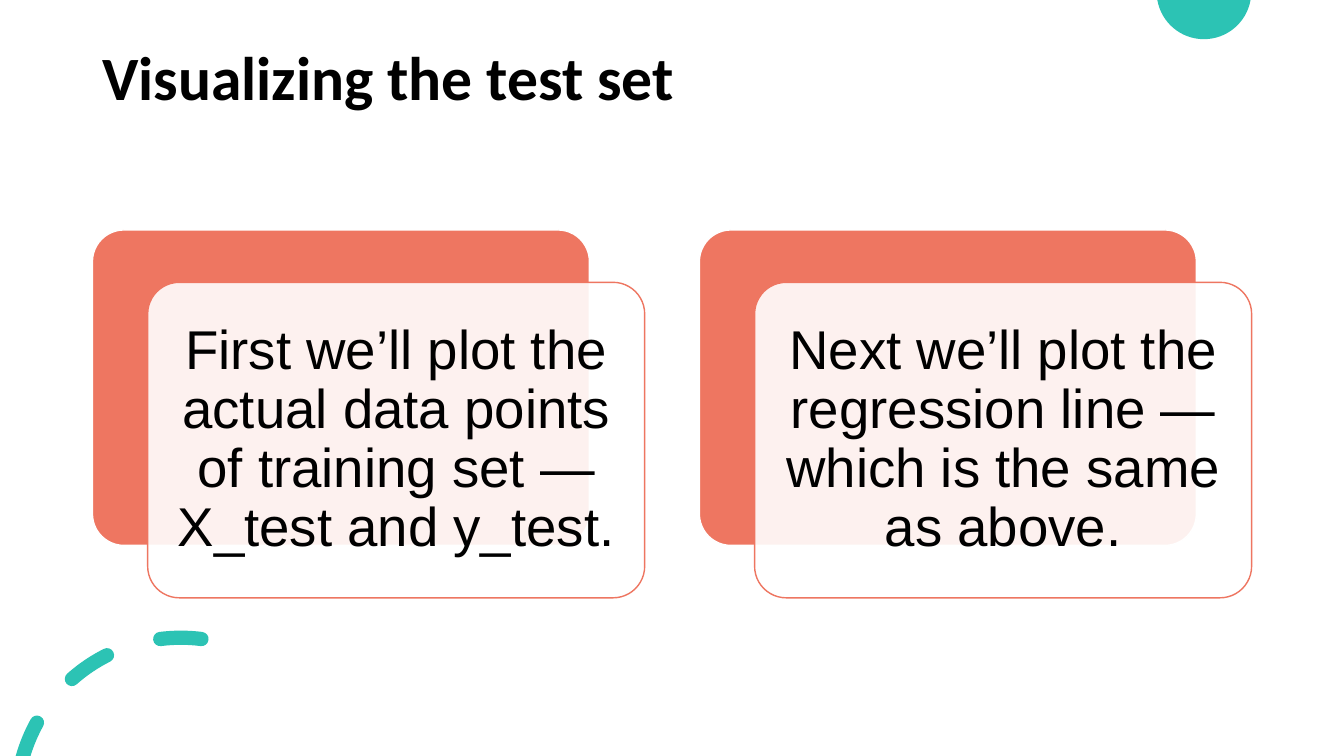
from dataclasses import dataclass
from math import acos, cos, degrees, radians, sin, tan
from typing import NamedTuple

from lxml.etree import SubElement
from pptx import Presentation
from pptx.dml.color import RGBColor
from pptx.enum.shapes import MSO_SHAPE as Preset
from pptx.enum.text import MSO_ANCHOR as Anchor, PP_ALIGN as Align
from pptx.oxml.ns import qn
from pptx.util import Inches, Pt

COLORS = {"teal": "2CC3B4", "coral": "EE7661", "white": "FFFFFF", "black": "000000"}
WIDTH, HEIGHT = Inches(40 / 3), Inches(7.5)


def col(share: float) -> int:
    """Return a length given in hundredths of the slide width."""
    return round(WIDTH * share / 100)


def row(share: float) -> int:
    """Return a length given in hundredths of the slide height."""
    return round(HEIGHT * share / 100)


class Point(NamedTuple):
    x: int
    y: int


class Dash(NamedTuple):
    """Angles in degrees, counted leftwards from the top of the ring."""
    start: float
    end: float


@dataclass(frozen=True)
class Card:
    message: str
    left: int


CONTENT_LEFT, CONTENT_WIDTH = col(6.88), col(86.25)
CARD_TOP, CARD_WIDTH, CARD_HEIGHT = row(30.42), col(36.98), row(41.73)
STEP_X, STEP_Y = col(4.11), row(6.93)
PITCH = CONTENT_WIDTH - CARD_WIDTH - STEP_X
MESSAGES = (
    "First we’ll plot the actual data points of training set — X_test and y_test.",
    "Next we’ll plot the regression line — which is the same as above.",
)
CARDS = [Card(message, CONTENT_LEFT + i * PITCH) for i, message in enumerate(MESSAGES)]

DISC_CENTER, DISC_RADIUS = Point(col(89.58), row(-1.07)), col(3.52)
RING_CENTER, RING_RADIUS, HALF_STROKE = Point(col(13.46), row(106.1)), col(12.23), col(0.53)
DASHES = (Dash(61.1, 90), Dash(26.7, 41.5), Dash(-7.2, 7.2))


def rgb(name: str) -> RGBColor:
    """Look up a named colour."""
    return RGBColor.from_string(COLORS[name])


def polar(center: Point, radius: float, angle: float) -> Point:
    """Find a point on a circle, with the angle counted leftwards from the top."""
    a = radians(angle)
    return Point(round(center.x - radius * sin(a)), round(center.y - radius * cos(a)))


def arc(center: Point, radius: float, start: float, end: float, pieces: int = 1) -> list[Point]:
    """Return an arc's start point, then three Bézier points for each piece."""
    turn = (end - start) / pieces
    handle = 4 / 3 * tan(radians(turn / 4)) * radius
    points = [polar(center, radius, start)]
    for i in range(pieces):
        first, last = start + i * turn, start + (i + 1) * turn
        tip = polar(center, radius, last)
        points += [polar(points[-1], handle, first + 90), polar(tip, -handle, last + 90), tip]
    return points


def dash_outline(dash: Dash) -> list[Point]:
    """Outline a round-capped ring piece, cut flat at the slide's bottom edge."""
    def last_angle(radius: float) -> float:
        return min(dash.end, degrees(acos((RING_CENTER.y - HEIGHT) / radius)))

    def cap(angle: float, turn: float) -> list[Point]:
        middle = polar(RING_CENTER, RING_RADIUS, angle)
        return arc(middle, HALF_STROKE, angle + turn, angle + turn + 180, 2)[1:]

    outer, inner = RING_RADIUS + HALF_STROKE, RING_RADIUS - HALF_STROKE
    is_cut = last_angle(RING_RADIUS) < dash.end
    return (
        arc(RING_CENTER, inner, last_angle(inner), dash.start)
        + cap(dash.start, 180)
        + arc(RING_CENTER, outer, dash.start, last_angle(outer))[1:]
        + ([] if is_cut else cap(dash.end, 0))
    )


def draw_outlines(slide, outlines: list[list[Point]]) -> None:
    """Draw closed Bézier outlines as one teal freeform."""
    builder = slide.shapes.build_freeform(*outlines[0][0])
    for i, outline in enumerate(outlines):
        if i:
            builder.move_to(*outline[0])
        builder.add_line_segments(outline[1:], close=True)
    decoration = builder.convert_to_shape()
    segments = list(decoration.element.iter(qn("a:lnTo")))
    for first, second, third in zip(segments[::3], segments[1::3], segments[2::3]):
        curve = first.makeelement(qn("a:cubicBezTo"))
        first.addprevious(curve)
        for segment in (first, second, third):
            curve.append(segment[0])
            segment.getparent().remove(segment)
    decoration.shadow.inherit = False
    decoration.fill.solid()
    decoration.fill.fore_color.rgb = rgb("teal")
    decoration.line.fill.background()


def draw_panel(slide, left: int, top: int, fill: str, line: str):
    """Add one rounded card panel."""
    panel = slide.shapes.add_shape(Preset.ROUNDED_RECTANGLE, left, top, CARD_WIDTH, CARD_HEIGHT)
    panel.adjustments[0] = 0.1
    panel.shadow.inherit = False
    panel.fill.solid()
    panel.fill.fore_color.rgb = rgb(fill)
    panel.line.color.rgb = rgb(line)
    panel.line.width = Pt(1)
    return panel


def write(frame, message: str, font: str, size: int, bold: bool, align: Align) -> None:
    """Set one wrapped paragraph of black text."""
    frame.word_wrap = True
    paragraph = frame.paragraphs[0]
    paragraph.text = message
    paragraph.alignment = align
    paragraph.line_spacing = 0.9
    paragraph.font.name = font
    paragraph.font.size = Pt(size)
    paragraph.font.bold = bold
    paragraph.font.color.rgb = rgb("black")


def draw_card(slide, card: Card) -> None:
    """Draw the coral back panel, the translucent front panel and the message."""
    draw_panel(slide, card.left, CARD_TOP, "coral", "white")
    left, top = card.left + STEP_X, CARD_TOP + STEP_Y
    front = draw_panel(slide, left, top, "white", "coral")
    tint = front.fill._xPr.find(qn("a:solidFill"))[0]
    SubElement(tint, qn("a:alpha")).set("val", "90000")
    inset = col(0.69)
    label = slide.shapes.add_textbox(
        left + inset, top + inset, CARD_WIDTH - 2 * inset, CARD_HEIGHT - 2 * inset)
    frame = label.text_frame
    frame.vertical_anchor = Anchor.MIDDLE
    frame.margin_left = frame.margin_right = col(1.2)
    frame.margin_top = frame.margin_bottom = col(1.2)
    write(frame, card.message, "Arial", 39, False, Align.CENTER)


def draw_title(slide) -> None:
    """Write the slide heading."""
    heading = slide.shapes.add_textbox(CONTENT_LEFT, row(5.33), CONTENT_WIDTH, row(19.33))
    heading.text_frame.vertical_anchor = Anchor.TOP
    heading.text_frame.margin_top = row(0.93)
    write(heading.text_frame, "Visualizing the test set", "Calibri", 44, True, Align.LEFT)


def main() -> None:
    """Build and save the slide."""
    deck = Presentation()
    deck.slide_width, deck.slide_height = WIDTH, HEIGHT
    slide = deck.slides.add_slide(deck.slide_layouts[6])
    edge = degrees(acos(DISC_CENTER.y / DISC_RADIUS))
    draw_outlines(slide, [arc(DISC_CENTER, DISC_RADIUS, edge, 360 - edge, 2)])
    draw_outlines(slide, [dash_outline(dash) for dash in DASHES])
    draw_title(slide)
    for card in CARDS:
        draw_card(slide, card)
    deck.save("out.pptx")


main()
